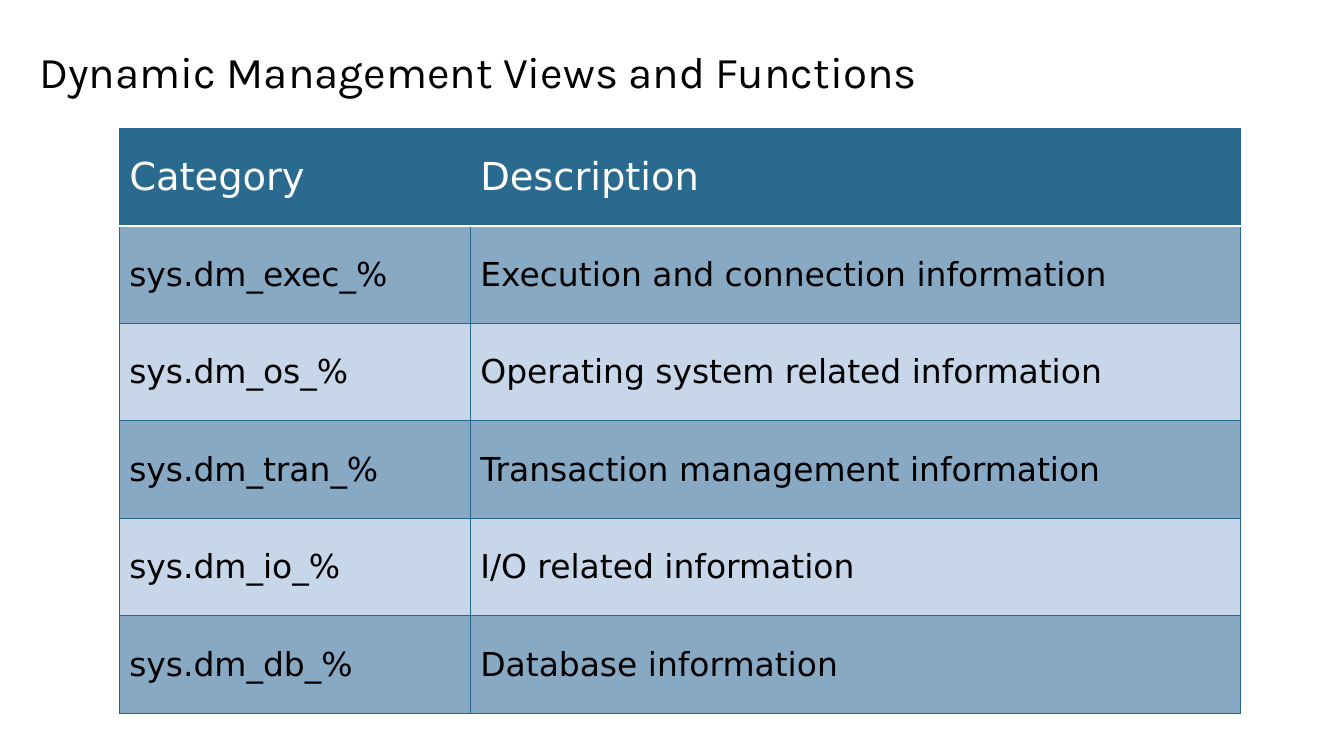
from lxml import etree
from pptx import Presentation
from pptx.dml.color import RGBColor
from pptx.enum.text import MSO_ANCHOR
from pptx.oxml.ns import qn
from pptx.util import Cm, Pt

MIDDLE = MSO_ANCHOR.MIDDLE
TOP = MSO_ANCHOR.TOP

COLORS = {
    "text": "000000",
    "header_text": "FFFFFF",
    "header": "296A8E",
    "band_dark": "87A9C4",
    "band_light": "C7D6E9",
    "border": "26688D",
    "header_rule": "FFFFFF",
}
TITLE_FONT = "Karla"
TABLE_FONT = "DejaVu Sans"
COL_WIDTHS = (9.02, 19.78)

ROWS = [
    ("Category", "Description"),
    ("sys.dm_exec_%", "Execution and connection information"),
    ("sys.dm_os_%", "Operating system related information"),
    ("sys.dm_tran_%", "Transaction management information"),
    ("sys.dm_io_%", "I/O related information"),
    ("sys.dm_db_%", "Database information"),
]


def rgb(name):
    return RGBColor.from_string(COLORS[name])


def style_run(r, font, size, color):
    r.font.name = font
    r.font.size = Pt(size)
    r.font.color.rgb = rgb(color)


def add_border(cell, side, color, width):
    """Draw one side (L, R, T or B) of a table cell; call before filling it."""
    tc_pr = cell._tc.get_or_add_tcPr()
    ln = etree.SubElement(tc_pr, qn(f"a:ln{side}"), w=str(Pt(width)))
    fill = etree.SubElement(ln, qn("a:solidFill"))
    etree.SubElement(fill, qn("a:srgbClr"), val=COLORS[color])


def add_title(slide, text, left, top, width, height):
    tf = slide.shapes.add_textbox(Cm(left), Cm(top), Cm(width), Cm(height)).text_frame
    tf.word_wrap = True
    tf.vertical_anchor = TOP
    tf.margin_top = Cm(0.18)
    tf.text = text
    p = tf.paragraphs[0]
    p.line_spacing = Pt(35.7)
    style_run(p.runs[0], TITLE_FONT, 32, "text")


def style_cell(cell, text, row):
    cell.vertical_anchor = MIDDLE
    cell.text = text
    r = cell.text_frame.paragraphs[0].runs[0]
    if row == 0:
        style_run(r, TABLE_FONT, 28, "header_text")
        fill = "header"
    else:
        style_run(r, TABLE_FONT, 24, "text")
        fill = "band_dark" if row % 2 else "band_light"
    for side in "LRTB":
        if (row, side) in ((0, "B"), (1, "T")):
            add_border(cell, side, "header_rule", 2)
        else:
            add_border(cell, side, "border", 0.75)
    cell.fill.solid()
    cell.fill.fore_color.rgb = rgb(fill)


def add_views_table(slide, left, top, width, height):
    table = slide.shapes.add_table(
        len(ROWS), len(COL_WIDTHS), Cm(left), Cm(top), Cm(width), Cm(height)
    ).table
    for column, col_width in zip(table.columns, COL_WIDTHS):
        column.width = Cm(col_width)
    for i, texts in enumerate(ROWS):
        for j, text in enumerate(texts):
            style_cell(table.cell(i, j), text, i)


def main():
    prs = Presentation()
    prs.slide_width = Cm(34.54)
    prs.slide_height = Cm(19.43)
    slide = prs.slides.add_slide(prs.slide_layouts[6])
    add_title(slide, "Dynamic Management Views and Functions", 0.76, 1.07, 33.02, 1.3)
    add_views_table(slide, 3.07, 3.3, sum(COL_WIDTHS), 15.04)
    prs.save("out.pptx")


if __name__ == "__main__":
    main()
